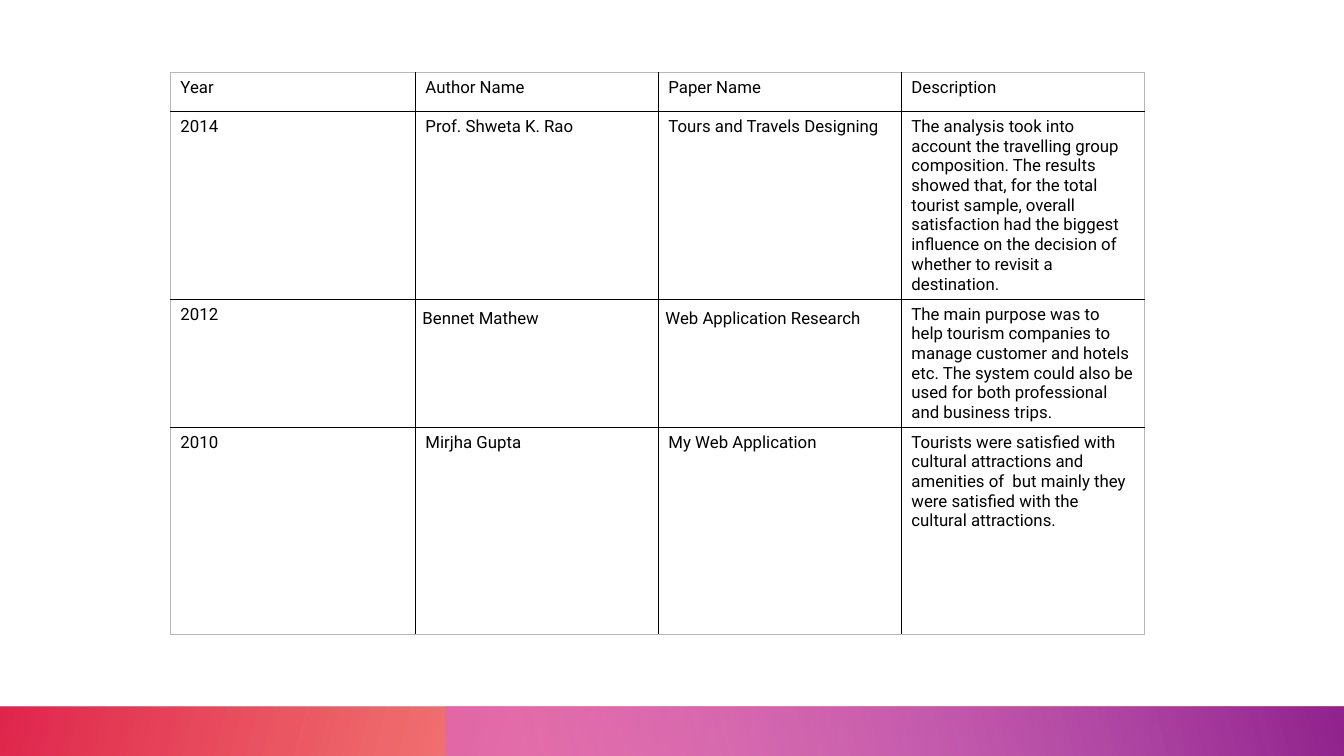
"""Build a literature survey slide: a table of papers above a gradient band."""
from dataclasses import dataclass

from lxml import etree
from pptx import Presentation
from pptx.dml.color import RGBColor
from pptx.enum.shapes import MSO_SHAPE
from pptx.enum.text import PP_ALIGN
from pptx.oxml.ns import qn
from pptx.slide import Slide
from pptx.table import _Cell
from pptx.util import Inches, Pt

RECTANGLE = MSO_SHAPE.RECTANGLE
LEFT, JUSTIFY = PP_ALIGN.LEFT, PP_ALIGN.JUSTIFY


@dataclass(frozen=True)
class Theme:
    font: str = "Roboto"
    text_size: float = 12
    text: str = "000000"
    inner_line: str = "000000"
    outer_line: str = "B7B7B7"
    line_width: float = 1


@dataclass(frozen=True)
class Stop:
    position: float
    color: str
    opacity: int


@dataclass(frozen=True)
class Band:
    left: float
    width: float
    angle: float
    stops: tuple[Stop, Stop]


@dataclass(frozen=True)
class Paper:
    year: str
    author: str
    title: str
    description: str
    height: float
    spaced: bool = False


THEME = Theme()
SLIDE_WIDTH, SLIDE_HEIGHT = 13.33, 7.5
BAND_TOP, BAND_HEIGHT = 7.01, 0.5
TABLE_LEFT, TABLE_TOP = 1.69, 0.72
COLUMN_WIDTHS = (2.43, 2.41, 2.41, 2.41)
SPACED_COLUMNS = (1, 2)

BANDS = (
    Band(0, 13.33, 345, (Stop(0, "DA002F", 85), Stop(0.86, "FE4A00", 28))),
    Band(4.42, 8.92, 15, (Stop(0.09, "D861D4", 55), Stop(0.99, "92248E", 100))),
)

ROWS = (
    Paper("Year", "Author Name", "Paper Name", "Description", 0.39),
    Paper(
        "2014", "Prof. Shweta K. Rao", "Tours and Travels Designing",
        "The analysis took into account the travelling group composition. "
        "The results showed that, for the total tourist sample, overall "
        "satisfaction had the biggest influence on the decision of whether "
        "to revisit a destination.", 1.86),
    Paper(
        "2012", "Bennet Mathew", "Web Application Research",
        "The main purpose was to help tourism companies to manage customer "
        "and hotels etc. The system could also be used for both professional "
        "and business trips.", 1.27, spaced=True),
    Paper(
        "2010", "Mirjha Gupta", "My Web Application",
        "Tourists were satisfied with cultural attractions and amenities of  "
        "but mainly they were satisfied with the cultural attractions.", 2.05),
)


def draw_band(slide: Slide, band: Band) -> None:
    strip = slide.shapes.add_shape(
        RECTANGLE, Inches(band.left), Inches(BAND_TOP),
        Inches(band.width), Inches(BAND_HEIGHT))
    strip.shadow.inherit = False
    strip.line.fill.background()
    strip.fill.gradient()
    strip.fill.gradient_angle = band.angle
    for gradient_stop, stop in zip(strip.fill.gradient_stops, band.stops):
        gradient_stop.position = stop.position
        gradient_stop.color.rgb = RGBColor.from_string(stop.color)
    for color, stop in zip(strip.fill._xPr.iter(qn("a:srgbClr")), band.stops):
        etree.SubElement(color, qn("a:alpha"), val=str(stop.opacity * 1000))


def set_border(cell: _Cell, side: str, color: str) -> None:
    properties = cell._tc.get_or_add_tcPr()
    border = etree.SubElement(
        properties, qn(f"a:ln{side}"), w=str(Pt(THEME.line_width)))
    fill = etree.SubElement(border, qn("a:solidFill"))
    etree.SubElement(fill, qn("a:srgbClr"), val=color)


def write_text(cell: _Cell, text: str, *, align: PP_ALIGN = LEFT,
               line_spacing: float = 1, space_after: float = 0,
               margin_x: float = 0.1, margin_y: float = 0.05) -> None:
    cell.margin_left = cell.margin_right = Inches(margin_x)
    cell.margin_top = cell.margin_bottom = Inches(margin_y)
    paragraph = cell.text_frame.paragraphs[0]
    paragraph.alignment = align
    paragraph.line_spacing = line_spacing
    paragraph.space_after = Pt(space_after)
    run = paragraph.add_run()
    run.text = text
    run.font.name = THEME.font
    run.font.size = Pt(THEME.text_size)
    run.font.bold = False
    run.font.color.rgb = RGBColor.from_string(THEME.text)


def draw_papers(slide: Slide) -> None:
    last_row, last_column = len(ROWS) - 1, len(COLUMN_WIDTHS) - 1
    papers = slide.shapes.add_table(
        len(ROWS), len(COLUMN_WIDTHS), Inches(TABLE_LEFT), Inches(TABLE_TOP),
        Inches(sum(COLUMN_WIDTHS)), Inches(sum(row.height for row in ROWS))).table
    papers.first_row = papers.horz_banding = False
    for column, width in zip(papers.columns, COLUMN_WIDTHS):
        column.width = Inches(width)
    for r, paper in enumerate(ROWS):
        papers.rows[r].height = Inches(paper.height)
        entries = (paper.year, paper.author, paper.title, paper.description)
        for c, entry in enumerate(entries):
            cell = papers.cell(r, c)
            if paper.spaced and c in SPACED_COLUMNS:
                write_text(cell, entry, align=JUSTIFY, line_spacing=1.5,
                           space_after=8, margin_x=0.07, margin_y=0)
            else:
                write_text(cell, entry)
            edges = {"L": c == 0, "R": c == last_column,
                     "T": r == 0, "B": r == last_row}
            for side, is_outer in edges.items():
                set_border(cell, side,
                           THEME.outer_line if is_outer else THEME.inner_line)
            cell.fill.background()


def main() -> None:
    deck = Presentation()
    deck.slide_width = Inches(SLIDE_WIDTH)
    deck.slide_height = Inches(SLIDE_HEIGHT)
    slide = deck.slides.add_slide(deck.slide_layouts[6])
    for band in BANDS:
        draw_band(slide, band)
    draw_papers(slide)
    deck.save("out.pptx")


if __name__ == "__main__":
    main()
